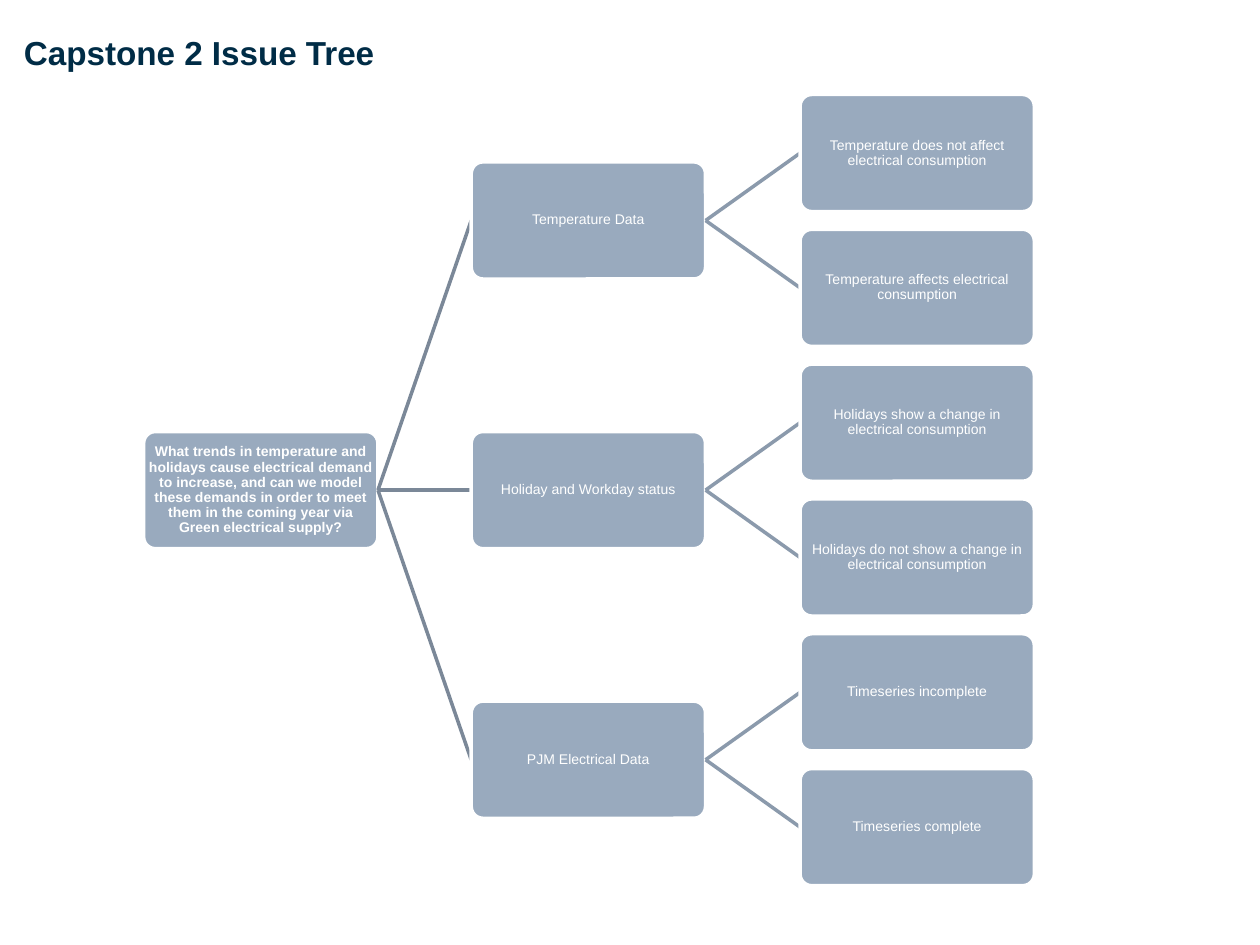
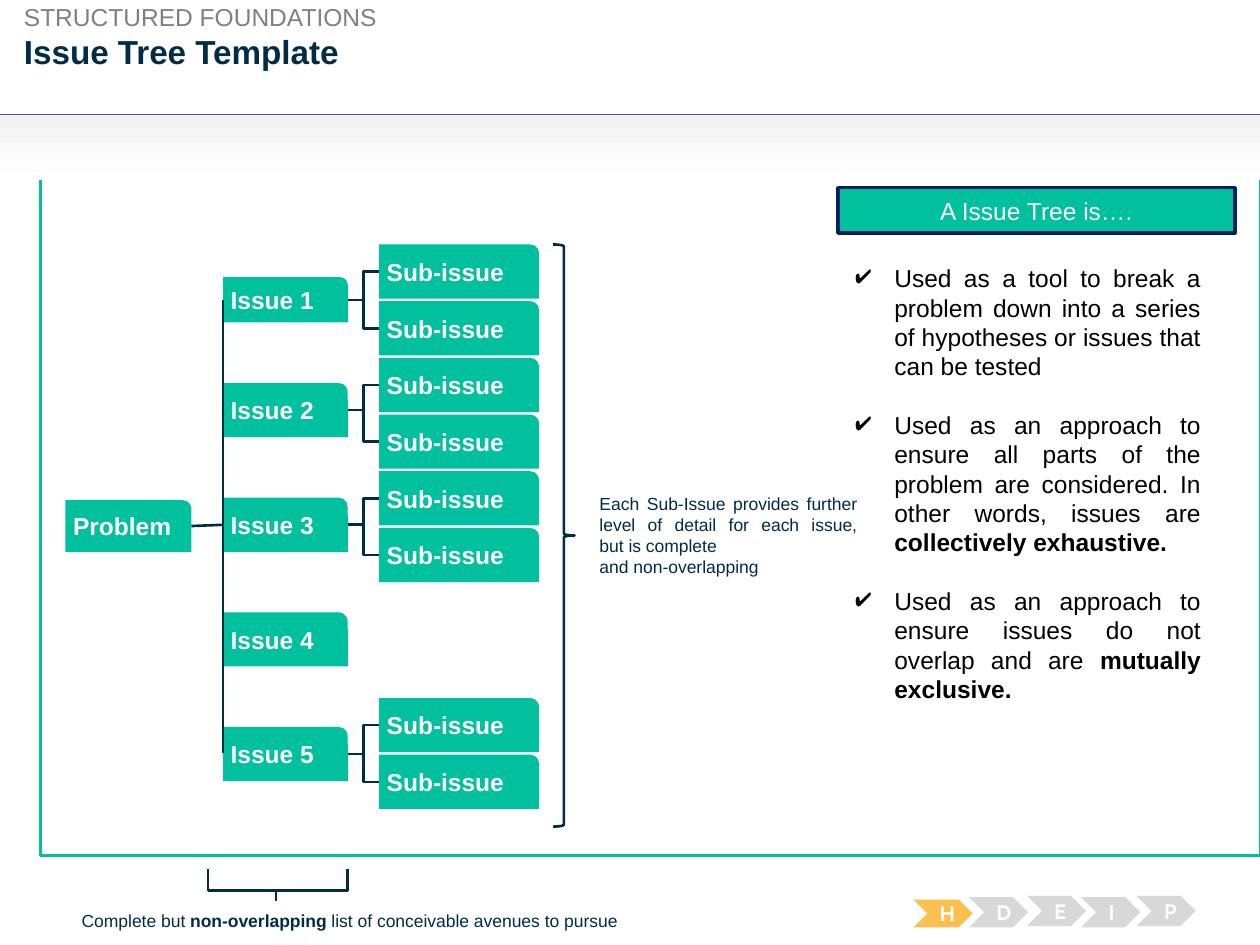
from lxml.etree import SubElement
from pptx import Presentation
from pptx.dml.color import RGBColor
from pptx.enum.shapes import MSO_CONNECTOR as LINK, MSO_SHAPE as SHAPE
from pptx.enum.text import MSO_ANCHOR as ANCHOR, PP_ALIGN as ALIGN
from pptx.oxml.ns import qn
from pptx.util import Inches, Pt

NAVY = RGBColor(0x00, 0x2C, 0x46)
DEEP_BLUE = RGBColor(0x00, 0x20, 0x60)
GREEN = RGBColor(0x00, 0xC0, 0x9D)
SLATE = RGBColor(0x99, 0xAA, 0xBE)
ROOT_LINK = RGBColor(0x7B, 0x88, 0x98)
LEAF_LINK = RGBColor(0x8B, 0x9A, 0xAC)
RULE_BLUE = RGBColor(0x40, 0x60, 0x85)
AMBER = RGBColor(0xFB, 0xC1, 0x4E)
SILVER = RGBColor(0xD8, 0xD8, 0xD8)
MIST = RGBColor(0xF2, 0xF2, 0xF2)
GRAY = RGBColor(0x80, 0x80, 0x80)
BLACK = RGBColor(0, 0, 0)
WHITE = RGBColor(0xFF, 0xFF, 0xFF)

NO_INSET = (0, 0, 0, 0)
INSET = (0.1, 0.05, 0.1, 0.05)
TITLE = {"size": 19, "color": NAVY, "bold": True}
TREE_TEXT = {"size": 8, "color": WHITE}
ISSUE_TEXT = {"size": 14, "color": WHITE, "bold": True}
NOTE_TEXT = {"size": 10, "color": NAVY}

QUESTION = ("What trends in temperature and holidays cause electrical demand to increase, "
            "and can we model these demands in order to meet them in the coming year "
            "via Green electrical supply?")
BRANCHES = [
    ("Temperature Data", ["Temperature does not affect electrical consumption",
                          "Temperature affects electrical consumption"]),
    ("Holiday and Workday status", ["Holidays show a change in electrical consumption",
                                    "Holidays do not show a change in electrical consumption"]),
    ("PJM Electrical Data", ["Timeseries incomplete", "Timeseries complete"]),
]
ISSUES = [(2.2, 0.36, True), (3.04, 0.43, True), (3.95, 0.43, True),
          (4.86, 0.43, False), (5.77, 0.43, True)]
DEFINITIONS = [
    [("Used as a tool to break a problem down into a series of hypotheses or issues "
      "that can be tested", False)],
    [("Used as an approach to ensure all parts of the problem are considered. "
      "In other words, issues are ", False), ("collectively exhaustive.", True)],
    [("Used as an approach to ensure issues do not overlap and are ", False),
     ("mutually exclusive.", True)],
]
STAGES = [("H", 7.25, 7.14, 0.22, AMBER), ("D", 7.69, 7.12, 0.24, SILVER),
          ("E", 8.15, 7.11, 0.24, SILVER), ("I", 8.58, 7.12, 0.24, SILVER),
          ("P", 9.02, 7.11, 0.24, SILVER)]


def write(shape, paragraphs, size, color, bold=False, font="Arial", inset=NO_INSET,
          anchor=ANCHOR.TOP, **layout):
    """Fill a shape with paragraphs, each a string or a list of (text, bold) runs."""
    frame = shape.text_frame
    sides = ("margin_left", "margin_top", "margin_right", "margin_bottom")
    for side, length in zip(sides, inset):
        setattr(frame, side, Inches(length))
    frame.word_wrap = True
    frame.vertical_anchor = anchor
    layout = {"alignment": ALIGN.LEFT, **layout}
    for number, spans in enumerate(paragraphs):
        para = frame.add_paragraph() if number else frame.paragraphs[0]
        for name, value in layout.items():
            setattr(para, name, value)
        for text, strong in [(spans, bold)] if isinstance(spans, str) else spans:
            for index, piece in enumerate(text.split("\n")):
                if index:
                    para.add_line_break()
                span = para.add_run()
                span.text = piece
                look = {"name": font, "size": Pt(size), "bold": strong}
                for name, value in look.items():
                    setattr(span.font, name, value)
                span.font.color.rgb = color


def add_box(page, kind, at, fill=None, line=None, width=1.5, corner=None):
    """Add a preset shape with a plain fill and outline."""
    box = page.shapes.add_shape(kind, *map(Inches, at))
    box.shadow.inherit = False
    if fill is None:
        box.fill.background()
    else:
        box.fill.solid()
        box.fill.fore_color.rgb = fill
    if line is None:
        box.line.fill.background()
    else:
        box.line.color.rgb = line
        box.line.width = Pt(width)
    if corner is not None:
        box.adjustments[0] = corner
    return box


def add_text(page, at, paragraphs, **style):
    """Add a text box."""
    write(page.shapes.add_textbox(*map(Inches, at)), paragraphs, **style)


def add_line(page, start, end, color=NAVY, width=1.5, kind=LINK.STRAIGHT):
    """Add a connector between two points."""
    line = page.shapes.add_connector(kind, *map(Inches, (*start, *end)))
    line.line.color.rgb = color
    line.line.width = Pt(width)
    SubElement(line._element.spPr, qn("a:effectLst"))
    return line


def join(page, parent, child, **style):
    """Link the right side of one box to the left side of another."""
    line = add_line(page, (0, 0), (0, 0), **style)
    line.begin_connect(parent, 3)
    line.end_connect(child, 1)
    return line


def add_page(deck, title, top):
    """Add a slide with the shared title style."""
    page = deck.slides.add_slide(deck.slide_layouts[5])
    holder = page.shapes.title
    place = {"left": 0.19, "top": top, "width": 9.62, "height": 0.33}
    for name, value in place.items():
        setattr(holder, name, Inches(value))
    write(holder, [title], **TITLE)
    return page


def add_question_tree(page, left, top):
    """Draw the question, its branches and their leaves from left to right."""
    width, height, pitch = 1.86, 0.93, 1.07
    columns = [left + offset for offset in (0, 2.6, 5.21)]

    def node(column, row, text, parent=None, color=None, bold=False):
        """Add one box, with its link to the parent beneath it."""
        at = (columns[column], top + row * pitch, width, height)
        box = add_box(page, SHAPE.ROUNDED_RECTANGLE, at, SLATE, WHITE, 2, 0.1)
        write(box, [text], bold=bold, inset=(0.01,) * 4, anchor=ANCHOR.MIDDLE,
              alignment=ALIGN.CENTER, line_spacing=0.9, **TREE_TEXT)
        if parent is not None:
            link = join(page, parent, box, color=color, width=2)
            box._element.addprevious(link._element)
        return box

    root = node(0, 2.5, QUESTION, bold=True)
    for index, (text, leaves) in enumerate(BRANCHES):
        branch = node(1, 2 * index + 0.5, text, root, ROOT_LINK)
        for offset, leaf in enumerate(leaves):
            node(2, 2 * index + offset, leaf, branch, LEAF_LINK)


def add_header(page, top):
    """Draw the section name, the shaded band and its rule."""
    band = add_box(page, SHAPE.RECTANGLE, (0, top, 10, 0.52), WHITE)
    band.fill.gradient()
    band.fill.gradient_angle = 270
    for stop, color in zip(band.fill.gradient_stops, (MIST, WHITE)):
        stop.color.rgb = color
    add_line(page, (0, top), (10, top), RULE_BLUE, 0.75)
    add_text(page, (0.19, 0.02, 2.84, 0.24), ["STRUCTURED FOUNDATIONS"], size=14, color=GRAY)


def add_issue_tree(page, left):
    """Draw the problem, its issues and their sub-issues."""
    def node(text, offset, top, width, height):
        """Add one green box."""
        box = add_box(page, SHAPE.ROUND_1_RECTANGLE,
                      (left + offset, top, width, height), GREEN, corner=0.167)
        write(box, [text], inset=(0.06, 0, 0, 0), anchor=ANCHOR.MIDDLE, **ISSUE_TEXT)
        return box

    problem = node("Problem", 0, 3.97, 1, 0.41)
    issues = []
    for index, (top, height, split) in enumerate(ISSUES):
        issue = node(f"Issue {index + 1}", 1.25, top, 0.99, height)
        issues.append(issue)
        for row in (2 * index, 2 * index + 1) if split else ():
            sub_issue = node("Sub-issue", 2.49, 1.94 + 0.45 * row, 1.27, 0.43)
            join(page, issue, sub_issue, kind=LINK.ELBOW)
    join(page, problem, issues[2])
    trunk = left + 1.25
    add_line(page, (trunk, 2.38), (trunk, 5.98))


def add_notes(page):
    """Draw the brace and bracket with the remarks they point to."""
    brace = add_box(page, SHAPE.RIGHT_BRACE, (4.39, 1.94, 0.17, 4.62), line=NAVY)
    brace.adjustments[0] = 0.083
    add_text(page, (4.66, 3.86, 2.24, 0.77),
             ["Each Sub-Issue provides further\nlevel of detail for each issue,\nbut is complete",
              "and non-overlapping"],
             inset=INSET, alignment=ALIGN.JUSTIFY, **NOTE_TEXT)
    left, right, top, bottom = 1.65, 2.76, 6.9, 7.07
    for side in (left, right):
        add_line(page, (side, top), (side, bottom))
    add_line(page, (left, bottom), (right, bottom))
    add_line(page, (2.19, bottom), (2.19, 7.15))
    add_text(page, (0.55, 7.17, 4.67, 0.27),
             [[("Complete but ", False), ("non-overlapping", True),
               (" list of conceivable avenues to pursue", False)]],
             inset=INSET, **NOTE_TEXT)


def add_definition(page, left, top):
    """Draw the heading and the checked list that define an issue tree."""
    heading = add_box(page, SHAPE.RECTANGLE, (left, top, 3.15, 0.36), GREEN, DEEP_BLUE, 2)
    write(heading, ["A Issue Tree is…."], size=14, color=WHITE, inset=INSET,
          anchor=ANCHOR.MIDDLE, alignment=ALIGN.CENTER)
    checklist = page.shapes.add_textbox(*map(Inches, (left + 0.04, top + 0.55, 2.94, 3.64)))
    write(checklist, DEFINITIONS, size=14, color=BLACK, inset=INSET,
          alignment=ALIGN.JUSTIFY, space_after=Pt(16.5))
    for para in checklist.text_frame.paragraphs:
        props = para._p.get_or_add_pPr()
        props.set("marL", str(Inches(0.31)))
        props.set("indent", str(-Inches(0.31)))
        SubElement(SubElement(props, qn("a:buClr")), qn("a:srgbClr"), val=str(BLACK))
        SubElement(props, qn("a:buChar"), char="✔")


def add_stages(page):
    """Draw the row of stage chevrons."""
    for letter, left, top, height, color in STAGES:
        chevron = add_box(page, SHAPE.CHEVRON, (left, top, 0.47, height), color, corner=0.5)
        write(chevron, [letter], size=12, color=WHITE, bold=True, font="Cabin", inset=INSET,
              anchor=ANCHOR.MIDDLE, alignment=ALIGN.CENTER)


def main():
    """Build both slides and save the deck."""
    deck = Presentation()
    deck.slide_width, deck.slide_height = Inches(10), Inches(7.5)
    add_question_tree(add_page(deck, "Capstone 2 Issue Tree", 0.26), 1.14, 0.75)
    page = add_page(deck, "Issue Tree Template", 0.25)
    add_box(page, SHAPE.RECTANGLE, (0.32, 1.39, 9.68, 5.4), WHITE, GREEN)
    add_header(page, 0.91)
    add_issue_tree(page, 0.52)
    add_definition(page, 6.65, 1.49)
    add_stages(page)
    add_notes(page)
    deck.save("out.pptx")


if __name__ == "__main__":
    main()
